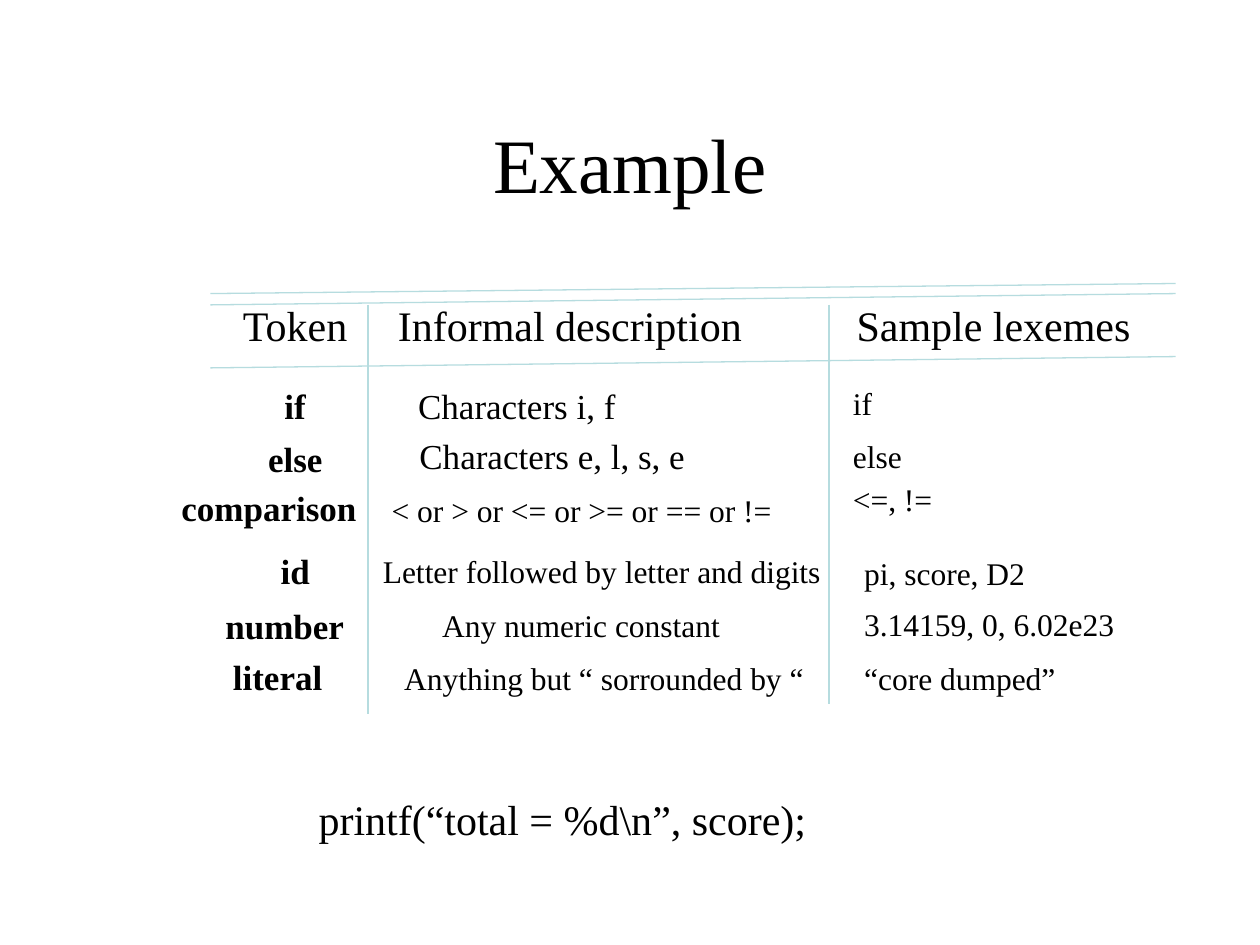
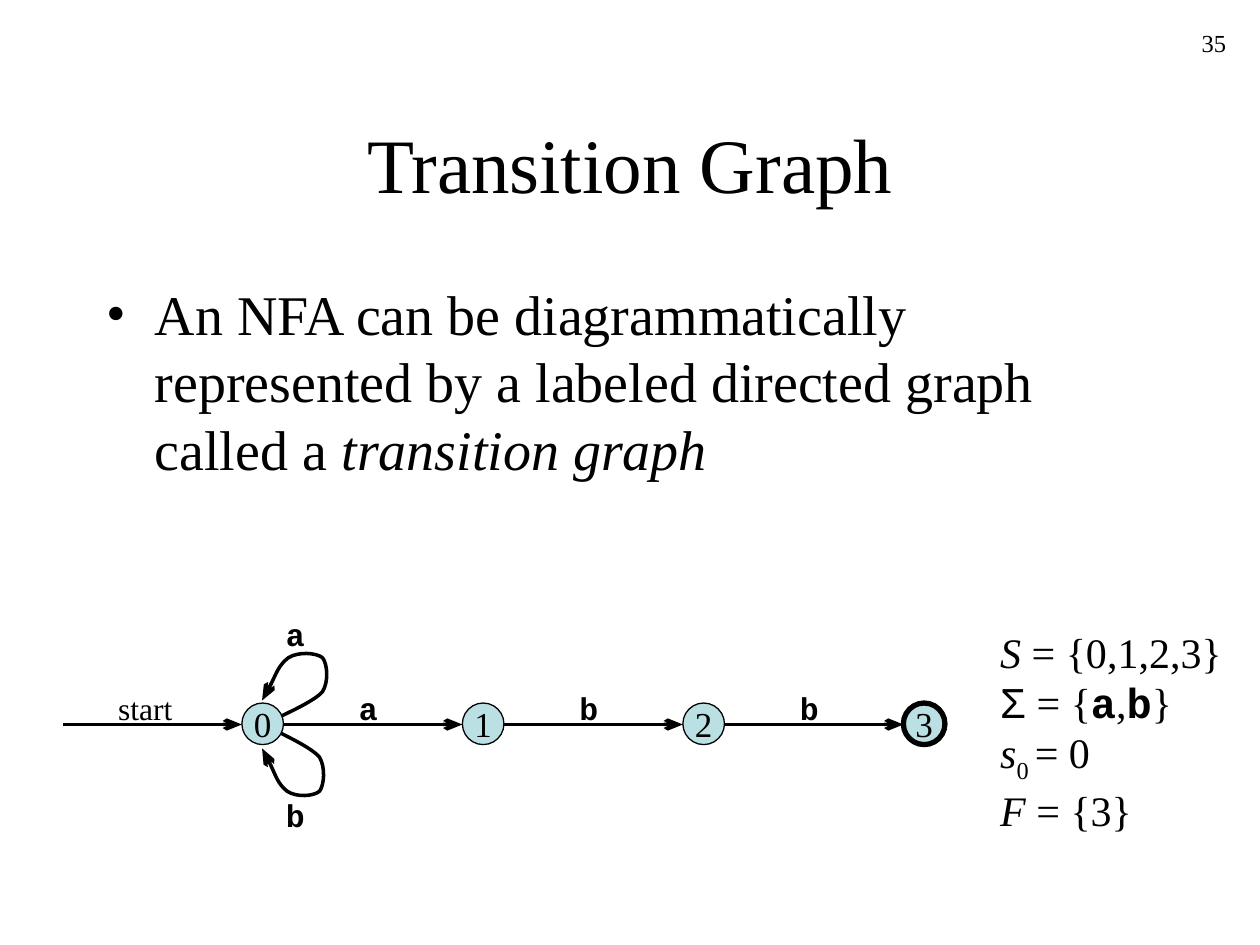
from collections import namedtuple
from dataclasses import dataclass

from pptx import Presentation
from pptx import util as u
from pptx.dml.color import RGBColor
from pptx.enum import shapes, text
from pptx.oxml import ns, xmlchemy

PX = 9144  # EMU in one px, 100 px to the inch
Box = namedtuple("Box", "left top width height")


@dataclass(frozen=True)
class Theme:
    ink: RGBColor = RGBColor(0, 0, 0)
    paper: RGBColor = RGBColor(255, 255, 255)
    rule: RGBColor = RGBColor(0xB6, 0xDC, 0xDF)
    state: RGBColor = RGBColor(0xBB, 0xE0, 0xE3)
    serif: str = "Times New Roman"
    sans: str = "Arial"
    mono: str = "Courier New"
    title: int = 44
    body: int = 32
    heading: int = 24
    cell: int = 20
    small: int = 18
    number: int = 14
    hairline: float = 0.75
    edge: float = 2
    accepting: float = 3


THEME = Theme()
ITALIC = {"italic": True}
BOLD = {"bold": True}
SYMBOL = {"name": THEME.mono, "bold": True}


# Shared helpers
def px(*lengths):
    return [round(length * PX) for length in lengths]


def within(box, dx, dy, width, height):
    return Box(box.left + dx, box.top + dy, width, height)


def set_all(target, values):
    for name, value in values.items():
        setattr(target, name, value)


def add_xml(parent, tag, **attributes):
    element = xmlchemy.OxmlElement(tag)
    for name, value in attributes.items():
        element.set(name, str(value))
    parent.append(element)
    return element


def write(paragraph, words, size, **style):
    run = paragraph.add_run()
    run.text = words
    set_all(run.font, {"name": THEME.serif, "size": u.Pt(size), **style})
    run.font.color.rgb = THEME.ink
    return run


def add_label(slide, box, words, size, wrap=False, align=text.PP_ALIGN.LEFT, **style):
    label = slide.shapes.add_textbox(*px(*box))
    fit = text.MSO_AUTO_SIZE.NONE if wrap else text.MSO_AUTO_SIZE.SHAPE_TO_FIT_TEXT
    set_all(label.text_frame, {"word_wrap": wrap, "auto_size": fit})
    paragraph = label.text_frame.paragraphs[0]
    paragraph.alignment = align
    if words:
        write(paragraph, words, size, **style)
    return paragraph


def set_stroke(shape, color, weight, arrow=False):
    shape.line.color.rgb = color
    shape.line.width = u.Pt(weight)
    if arrow:
        add_xml(shape.line._get_or_add_ln(), "a:tailEnd", type="arrow", w="med", len="lg")


def add_line(slide, ends, color, weight, arrow=False):
    line = slide.shapes.add_connector(shapes.MSO_CONNECTOR.STRAIGHT, *px(*ends))
    set_stroke(line, color, weight, arrow)
    add_xml(line._element.spPr, "a:effectLst")


def new_slide(deck, heading):
    slide = deck.slides.add_slide(deck.slide_layouts[5])
    slide.background.fill.solid()
    slide.background.fill.fore_color.rgb = THEME.paper
    title = slide.shapes.title
    set_all(title, dict(zip(Box._fields, px(75, 67, 850, 125))))
    title.text_frame.vertical_anchor = text.MSO_ANCHOR.MIDDLE
    paragraph = title.text_frame.paragraphs[0]
    paragraph.alignment = text.PP_ALIGN.CENTER
    write(paragraph, heading, THEME.title)
    return slide


# Token table with slanted rules: cells are (words, left, top, width)
HEADINGS = [("Token", 49, 8, 105), ("Informal description", 172, 8, 293),
            ("Sample lexemes", 536, 8, 242)]
TOKENS = [("if", 82, 75, 37), ("else", 69, 117, 63), ("comparison", 0, 156, 159),
          ("id", 79, 206, 43), ("number", 35, 250, 114), ("literal", 41, 290, 91)]
KEYWORD_RULES = [("Characters i, f", 188, 75, 177), ("Characters e, l, s, e", 189, 115, 231)]
OTHER_RULES = [("< or > or <= or >= or == or !=", 167, 160, 322),
               ("Letter followed by letter and digits", 160, 208, 368),
               ("Any numeric constant", 207, 251, 241),
               ("Anything but “ sorrounded by “", 177, 293, 337)]
LEXEMES = [("if", 533, 75, 35), ("else", 533, 117, 59), ("<=, !=", 533, 151, 83),
           ("pi, score, D2", 542, 210, 148), ("3.14159, 0, 6.02e23", 542, 250, 223),
           ("“core dumped”", 542, 293, 172)]


def draw_token_table(slide, box):
    right = box.left + box.width
    for start, end in ((8, 0), (17, 8), (67, 58)):
        ends = (box.left + 33, box.top + start, right, box.top + end)
        add_line(slide, ends, THEME.rule, THEME.hairline)
    for dx, bottom in ((158, box.height), (524, box.height - 8)):
        ends = (box.left + dx, box.top + 17, box.left + dx, box.top + bottom)
        add_line(slide, ends, THEME.rule, THEME.hairline)
    groups = ((HEADINGS, THEME.heading, 50, {}), (TOKENS, THEME.cell, 44, BOLD),
              (KEYWORD_RULES, THEME.cell, 44, {}),
              (OTHER_RULES + LEXEMES, THEME.small, 40, {}))
    for cells, size, height, style in groups:
        for words, dx, dy, width in cells:
            add_label(slide, within(box, dx, dy, width, height), words, size, **style)


def build_example(deck):
    slide = new_slide(deck, "Example")
    draw_token_table(slide, Box(134, 225, 799, 342))
    add_label(slide, Box(243, 625, 407, 50), "printf(“total = %d\\n”, score);", THEME.heading)


# Transition graph
STATE_SIZE, STATE_STEP, START_LENGTH = 33, 175, 142
EDGE_SYMBOLS = [("a", 83), ("b", 83), ("b", 83)]
# Start point, then three Bézier points for each curve, from the state's centre
LOOP = [(16, 7), (22, 10), (42, 19), (48, 26), (53, 34), (52, 48), (48, 53),
        (43, 57), (29, 58), (21, 53), (13, 47), (5, 26), (0, 19)]


def draw_state(slide, box, name, weight):
    state = slide.shapes.add_shape(shapes.MSO_SHAPE.OVAL, *px(*box))
    state.shadow.inherit = False
    state.fill.solid()
    state.fill.fore_color.rgb = THEME.state
    set_stroke(state, THEME.ink, weight)
    set_all(state.text_frame, {"word_wrap": False, "vertical_anchor": text.MSO_ANCHOR.MIDDLE})
    paragraph = state.text_frame.paragraphs[0]
    paragraph.alignment = text.PP_ALIGN.CENTER
    write(paragraph, name, THEME.cell)


def draw_loop(slide, center_x, center_y, side, stretch):
    points = [px(center_x + dx * stretch, center_y + side * dy) for dx, dy in LOOP]
    builder = slide.shapes.build_freeform(*points[0])
    builder.add_line_segments(points[1:], close=False)
    loop = builder.convert_to_shape()
    loop.shadow.inherit = False
    loop.fill.background()
    set_stroke(loop, THEME.ink, THEME.edge, arrow=True)
    # Turn each three segments into one Bézier curve
    outline = loop._element.find(".//" + ns.qn("a:path"))
    segments = outline.findall(ns.qn("a:lnTo"))
    for first in range(0, len(segments), 3):
        curve = add_xml(outline, "a:cubicBezTo")
        for segment in segments[first:first + 3]:
            curve.append(segment[0])
            outline.remove(segment)


def draw_graph(slide, box):
    axis = box.top + 92
    first = box.left + START_LENGTH
    for index, name in enumerate("0123"):
        left = first + index * STATE_STEP
        add_line(slide, (left - START_LENGTH, axis, left, axis), THEME.ink, THEME.edge, arrow=True)
        weight = THEME.accepting if name == "3" else THEME.hairline
        draw_state(slide, Box(left, axis - 17, STATE_SIZE, STATE_SIZE), name, weight)
    for index, (symbol, dx) in enumerate(EDGE_SYMBOLS):
        spot = Box(first + index * STATE_STEP + dx, axis - 33, 35, 40)
        add_label(slide, spot, symbol, THEME.small, **SYMBOL)
    add_label(slide, within(box, 34, 59, 63, 40), "start", THEME.small)
    for symbol, side, stretch, dy in (("a", -1, 1, 0), ("b", 1, 0.95, 144)):
        draw_loop(slide, first + 16, axis, side, stretch)
        add_label(slide, within(box, 167, dy, 35, 40), symbol, THEME.small, **SYMBOL)


# Formal definition beside the graph
DEFINITION = [
    [("S ", ITALIC), ("= {0,1,2,3}", {})],
    [("Σ", {"name": THEME.sans}), (" = {", {}), ("a", SYMBOL), (",", {}), ("b", SYMBOL), ("}", {})],
    [("s", ITALIC), ("0 ", {"subscript": True}), ("= 0", {})],
    [("F ", ITALIC), ("= {3}", {})],
]


def draw_definition(slide, box):
    paragraph = add_label(slide, box, "", THEME.heading)
    for index, line in enumerate(DEFINITION):
        if index:
            paragraph.add_line_break()
        for words, style in line:
            font_style = {key: value for key, value in style.items() if key != "subscript"}
            run = write(paragraph, words, THEME.heading, **font_style)
            if "subscript" in style:
                run.font._element.set("baseline", "-25000")


def draw_statement(slide, box):
    paragraph = add_label(slide, box, "An NFA can be diagrammatically represented by a labeled "
                          "directed graph called a ", THEME.body, wrap=True)
    write(paragraph, "transition graph", THEME.body, **ITALIC)
    paragraph.space_before = u.Pt(8)
    hanging = 38 * PX
    properties = paragraph._p.get_or_add_pPr()
    properties.set("marL", str(hanging))
    properties.set("indent", str(-hanging))
    add_xml(properties, "a:buFont", typeface=THEME.serif)
    add_xml(properties, "a:buChar", char="•")


def build_transition_graph(deck):
    slide = new_slide(deck, "Transition Graph")
    add_label(slide, Box(775, 17, 208, 50), "35", THEME.number, wrap=True,
              align=text.PP_ALIGN.RIGHT)
    draw_statement(slide, Box(75, 217, 850, 450))
    draw_graph(slide, Box(50, 483, 700, 184))
    draw_definition(slide, Box(784, 492, 196, 176))


def main():
    deck = Presentation()
    deck.slide_width, deck.slide_height = px(1000, 750)
    build_example(deck)
    build_transition_graph(deck)
    deck.save("out.pptx")


if __name__ == "__main__":
    main()
